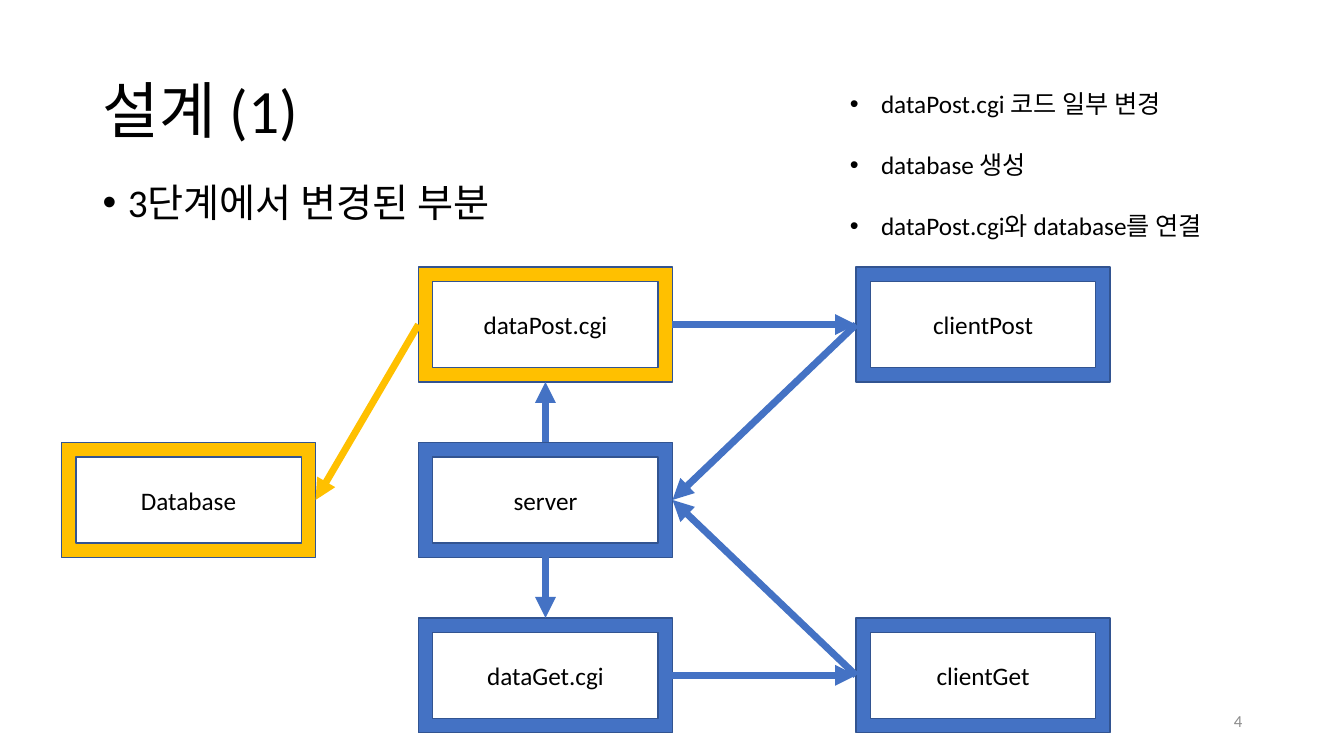
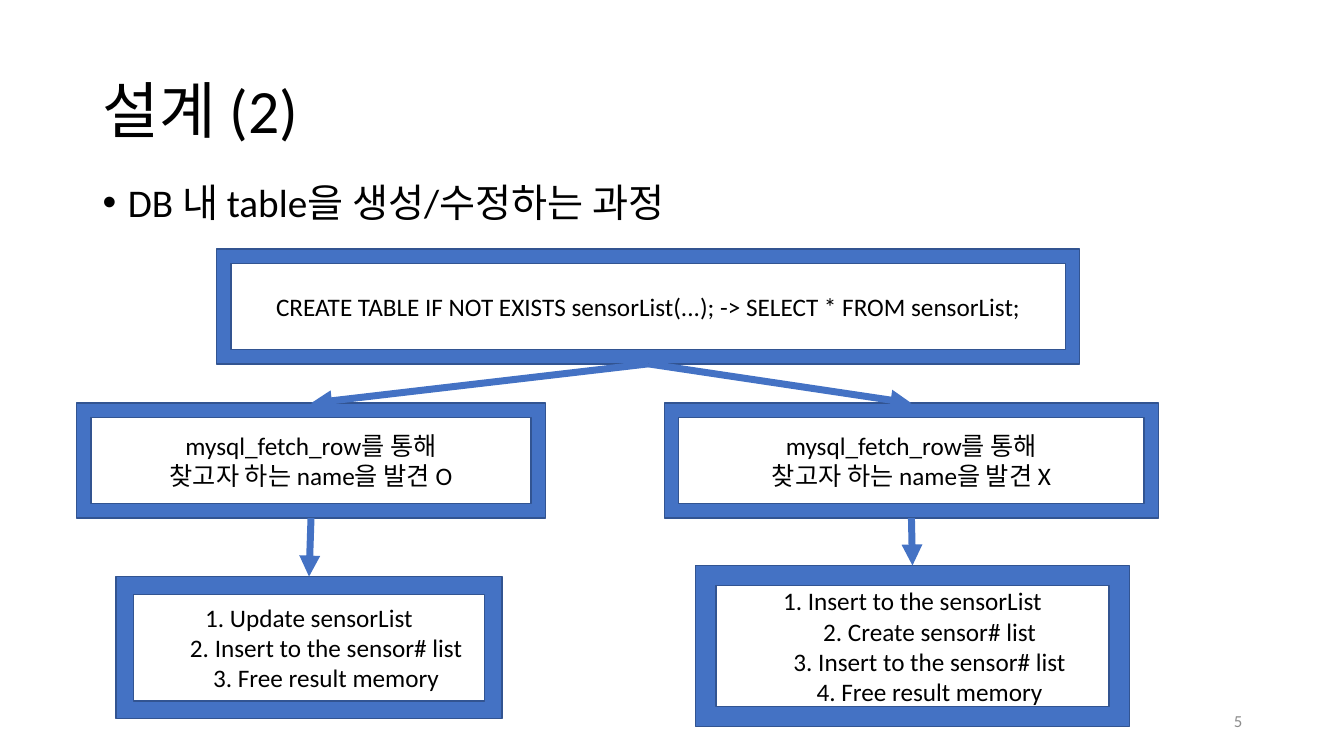
from lxml.etree import SubElement
from pptx import Presentation
from pptx.dml.color import RGBColor
from pptx.enum.shapes import MSO_CONNECTOR as Connector, MSO_SHAPE as Shape
from pptx.enum.text import MSO_ANCHOR as Anchor, PP_ALIGN as Align
from pptx.oxml.ns import qn
from pptx.util import Inches, Pt

color = RGBColor.from_string
BLUE, AMBER, OUTLINE, BLACK, GREY = "4472C4", "FFC000", "325491", "000000", "8C8C8C"
FONT = "Calibri"
TOP, LEFT, BOTTOM, RIGHT = range(4)  # connection sites of a frame
MARGIN, CONTENT_WIDTH = 0.92, 11.5


def write(shape, lines, size, ink=BLACK, align=Align.LEFT, anchor=Anchor.TOP,
          spacing=None, gap=0, bullet_indent=0, later_indent=0):
    """Fill a shape with paragraphs; later_indent shifts all but the first."""
    text = shape.text_frame
    text.word_wrap = True
    text.vertical_anchor = anchor
    for index, line in enumerate(lines):
        para = text.add_paragraph() if index else text.paragraphs[0]
        para.text = line
        properties = para._p.get_or_add_pPr()
        if bullet_indent:
            properties.set("marL", str(Inches(bullet_indent)))
            properties.set("indent", str(-Inches(bullet_indent)))
            SubElement(properties, qn("a:buFont")).set("typeface", "Arial")
            SubElement(properties, qn("a:buChar")).set("char", "•")
        elif index and later_indent:
            properties.set("marL", str(Inches(later_indent)))
        para.alignment = align
        if spacing:
            para.line_spacing = spacing
        if index and gap:
            para.space_before = Pt(gap)
        para.font.name = FONT
        para.font.size = Pt(size)
        para.font.color.rgb = color(ink)


def add_text(page, left, top, width, height, lines, size, **style):
    box = page.shapes.add_textbox(*map(Inches, (left, top, width, height)))
    write(box, lines, size, **style)


# The first diagram stands on a grid of equal boxes.
COLUMNS = (0.61, 4.15, 8.49)
ROWS = [2.65 + 1.74 * row for row in range(3)]
BOX_WIDTH, BOX_HEIGHT = 2.52, 1.14
components = {
    "dataPost.cgi": (1, 0, AMBER),
    "dataGet.cgi": (1, 2, BLUE),
    "server": (1, 1, BLUE),
    "clientPost": (2, 0, BLUE),
    "clientGet": (2, 2, BLUE),
    "Database": (0, 1, AMBER),
}
component_frames = {
    name: (COLUMNS[column], ROWS[row], BOX_WIDTH, BOX_HEIGHT, fill, [name])
    for name, (column, row, fill) in components.items()
}
component_arrows = [
    ("clientPost", LEFT, "server", RIGHT, BLUE),
    ("clientGet", LEFT, "server", RIGHT, BLUE),
    ("server", TOP, "dataPost.cgi", BOTTOM, BLUE),
    ("server", BOTTOM, "dataGet.cgi", TOP, BLUE),
    ("dataPost.cgi", RIGHT, "clientPost", LEFT, BLUE),
    ("dataGet.cgi", RIGHT, "clientGet", LEFT, BLUE),
    ("dataPost.cgi", LEFT, "Database", RIGHT, AMBER),
]

CHECK_ROW = 4
query_frames = {
    "query": (2.15, 2.47, 8.56, BOX_HEIGHT, BLUE,
              ["CREATE TABLE IF NOT EXISTS sensorList(...); -> SELECT * FROM sensorList;"]),
    "found": (0.76, CHECK_ROW, 4.65, BOX_HEIGHT, BLUE,
              ["mysql_fetch_row를 통해", "찾고자 하는 name을 발견 O"]),
    "missing": (6.59, CHECK_ROW, 4.9, BOX_HEIGHT, BLUE,
                ["mysql_fetch_row를 통해", "찾고자 하는 name을 발견 X"]),
    "update": (1.15, 5.72, 3.83, 1.41, BLUE,
               ["1. Update sensorList", "2. Insert to the sensor# list",
                "3. Free result memory"]),
    "insert": (6.9, 5.61, 4.3, 1.6, BLUE,
               ["1. Insert to the sensorList", "2. Create sensor# list",
                "3. Insert to the sensor# list", "4. Free result memory"]),
}
query_arrows = [
    ("query", BOTTOM, "found", TOP, BLUE),
    ("query", BOTTOM, "missing", TOP, BLUE),
    ("found", BOTTOM, "update", TOP, BLUE),
    ("missing", BOTTOM, "insert", TOP, BLUE),
]

changes = ["dataPost.cgi 코드 일부 변경", "database 생성", "dataPost.cgi와 database를 연결"]
slides = [
    (4, "설계 (1)", "3단계에서 변경된 부분", changes, component_frames, component_arrows),
    (5, "설계 (2)", "DB 내 table을 생성/수정하는 과정", [], query_frames, query_arrows),
]

deck = Presentation()
deck.slide_width, deck.slide_height = Inches(13.33), Inches(7.5)

for number, title, subtitle, notes, frames, arrows in slides:
    page = deck.slides.add_slide(deck.slide_layouts[6])
    add_text(page, MARGIN, 0.4, CONTENT_WIDTH, 1.45, [title], 44,
             anchor=Anchor.MIDDLE, spacing=0.9)
    add_text(page, MARGIN, 1.77, CONTENT_WIDTH, 4.76, [subtitle], 28,
             spacing=0.9, bullet_indent=0.25)
    if notes:
        add_text(page, 8.33, 0.83, 4.39, 1.62, notes, 18, gap=22, bullet_indent=0.31)
    add_text(page, 9.42, 6.95, 3, 0.4, [str(number)], 12, ink=GREY,
             align=Align.RIGHT, anchor=Anchor.MIDDLE)

    boxes = {}
    for name, (left, top, width, height, fill, lines) in frames.items():
        box = page.shapes.add_shape(Shape.FRAME, *map(Inches, (left, top, width, height)))
        box.shadow.inherit = False
        box.fill.solid()
        box.fill.fore_color.rgb = color(fill)
        box.line.color.rgb = color(OUTLINE)
        box.line.width = Pt(1)
        # Only the numbered step lists are longer than two lines.
        write(box, lines, 18, align=Align.CENTER, anchor=Anchor.MIDDLE,
              later_indent=0.34 if len(lines) > 2 else 0)
        boxes[name] = box

    for start, start_site, end, end_site, ink in arrows:
        arrow = page.shapes.add_connector(Connector.STRAIGHT, 0, 0, 0, 0)
        arrow.begin_connect(boxes[start], start_site)
        arrow.end_connect(boxes[end], end_site)
        arrow.line.color.rgb = color(ink)
        arrow.line.width = Pt(5)
        SubElement(arrow.line._get_or_add_ln(), qn("a:tailEnd")).set("type", "triangle")
        SubElement(arrow._element.spPr, qn("a:effectLst"))

deck.save("out.pptx")
